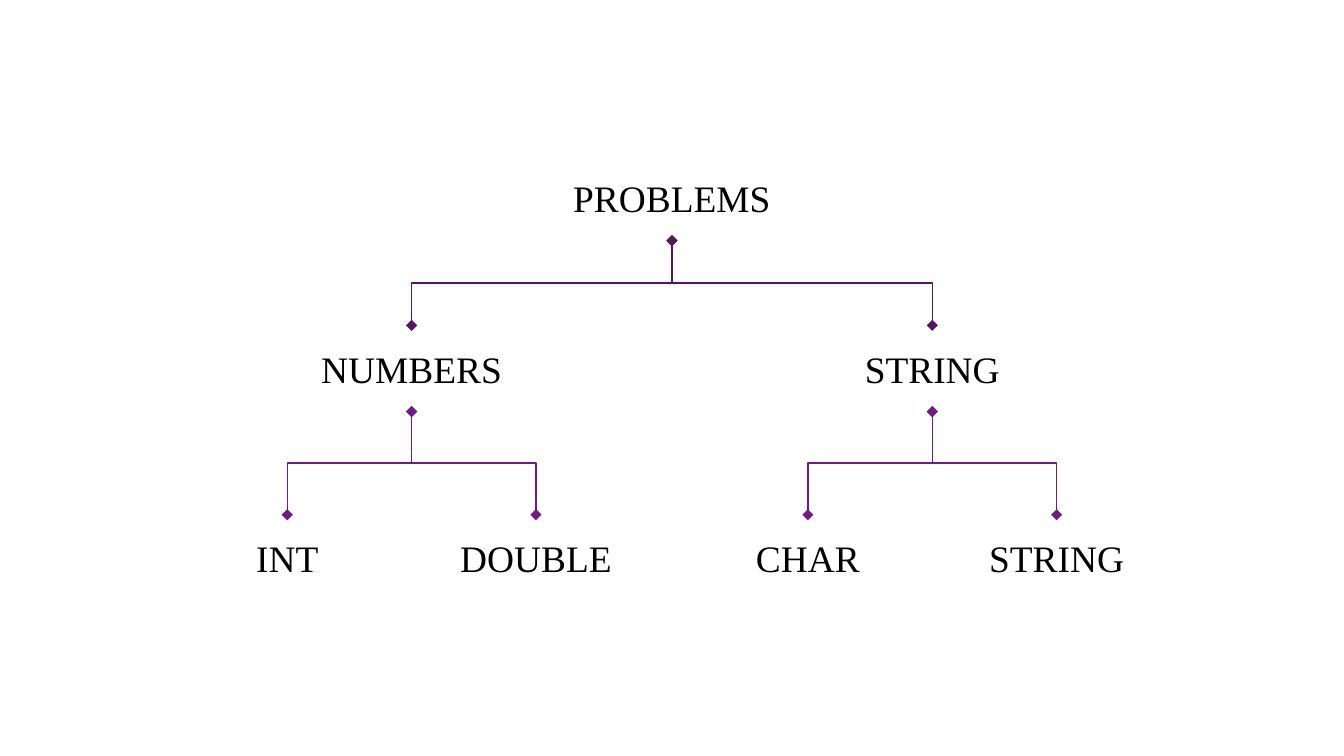
"""Build a slide with a tree of problem types."""
from lxml import etree
from pptx import Presentation
from pptx import util as u
from pptx.dml.color import RGBColor
from pptx.enum import shapes, text
from pptx.oxml.ns import qn

BLACK = RGBColor(0x00, 0x00, 0x00)
DARK_PURPLE = RGBColor(0x55, 0x15, 0x61)
PURPLE = RGBColor(0x70, 0x1C, 0x7F)

TREE = ("PROBLEMS", [
    ("NUMBERS", [("INT", []), ("DOUBLE", [])]),
    ("STRING", [("CHAR", []), ("STRING", [])]),
])
LEVEL_TOPS = [2.92, 6.15, 9.73]
CHILD_OFFSETS = [4.92, 2.35]
LINE_COLORS = [DARK_PURPLE, PURPLE]

SLIDE_WIDTH, SLIDE_HEIGHT = 25.4, 14.29
BOX_WIDTH, BOX_HEIGHT, INSET = 4.27, 1.63, 0.25
TOP_SITE, BOTTOM_SITE = 0, 2
QUARTER_TURN_BACK = "16200000"

FRAME_FORMAT = {
    "word_wrap": True,
    "vertical_anchor": text.MSO_ANCHOR.MIDDLE,
    **{f"margin_{side}": u.Cm(INSET) for side in ("left", "top", "right", "bottom")},
}
FONT_FORMAT = {"name": "Times New Roman", "size": u.Pt(20)}


def apply_format(target, values):
    for name, value in values.items():
        setattr(target, name, value)


def add_label(slide, label, center, top):
    box = slide.shapes.add_textbox(
        u.Cm(center - BOX_WIDTH / 2), u.Cm(top), u.Cm(BOX_WIDTH), u.Cm(BOX_HEIGHT))
    apply_format(box.text_frame, FRAME_FORMAT)
    paragraph = box.text_frame.paragraphs[0]
    paragraph.alignment = text.PP_ALIGN.CENTER
    run = paragraph.add_run()
    run.text = label
    apply_format(run.font, FONT_FORMAT)
    run.font.color.rgb = BLACK
    return box


def add_branch(slide, parent, child, color):
    start_x, start_y = parent.left + parent.width // 2, parent.top + parent.height
    end_x, end_y = child.left + child.width // 2, child.top
    drop, spread = end_y - start_y, abs(end_x - start_x)
    goes_right = end_x > start_x

    connector = slide.shapes.add_connector(shapes.MSO_CONNECTOR.ELBOW, 0, 0, 0, 0)
    ends = [(parent, BOTTOM_SITE), (child, TOP_SITE)]
    begin, end = ends if goes_right else reversed(ends)
    connector.begin_connect(*begin)
    connector.end_connect(*end)

    apply_format(connector, {
        "left": (start_x + end_x - drop) // 2,
        "top": (start_y + end_y - spread) // 2,
        "width": drop,
        "height": spread,
    })
    properties = connector.element.spPr
    transform = properties.find(qn("a:xfrm"))
    for name, value in {"rot": QUARTER_TURN_BACK, "flipH": str(int(goes_right)), "flipV": "0"}.items():
        transform.set(name, value)

    connector.line.width = u.Pt(0.75)
    connector.line.color.rgb = color
    outline = properties.find(qn("a:ln"))
    for tag in ("a:headEnd", "a:tailEnd"):
        etree.SubElement(outline, qn(tag), type="diamond")
    etree.SubElement(properties, qn("a:effectLst"))


def add_tree(slide, node, center, level=0):
    label, children = node
    box = add_label(slide, label, center, LEVEL_TOPS[level])
    for side, child in zip((-1, 1), children):
        child_center = center + side * CHILD_OFFSETS[level]
        child_box = add_tree(slide, child, child_center, level + 1)
        add_branch(slide, box, child_box, LINE_COLORS[level])
    return box


def main():
    presentation = Presentation()
    presentation.slide_width = u.Cm(SLIDE_WIDTH)
    presentation.slide_height = u.Cm(SLIDE_HEIGHT)
    slide = presentation.slides.add_slide(presentation.slide_layouts[6])
    add_tree(slide, TREE, SLIDE_WIDTH / 2)
    presentation.save("out.pptx")


if __name__ == "__main__":
    main()
